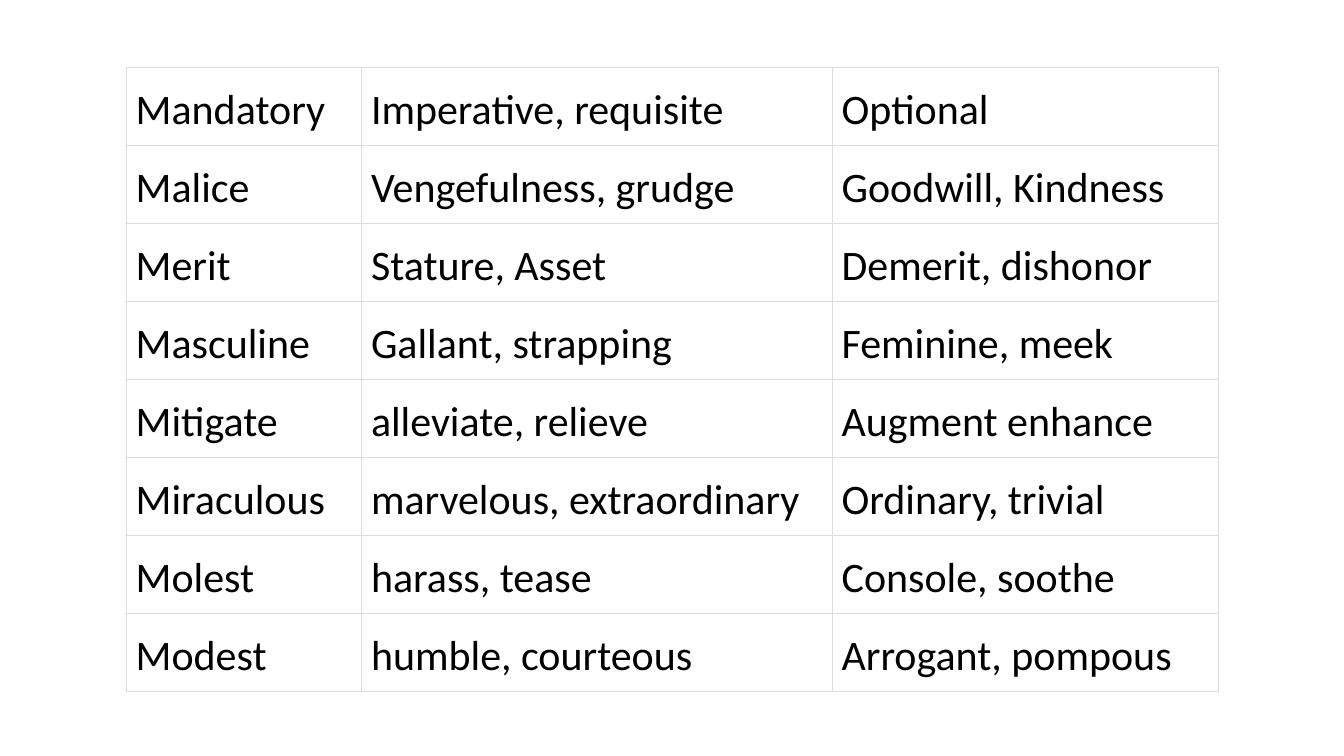
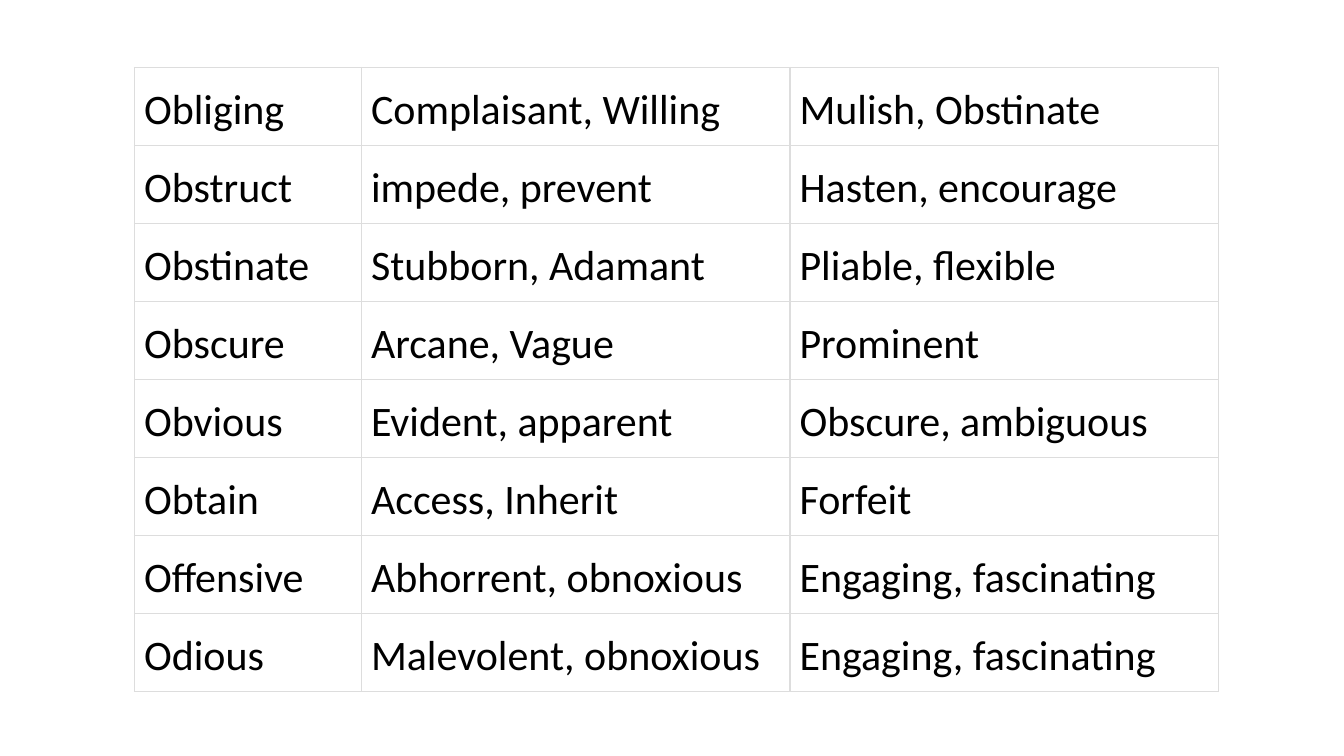
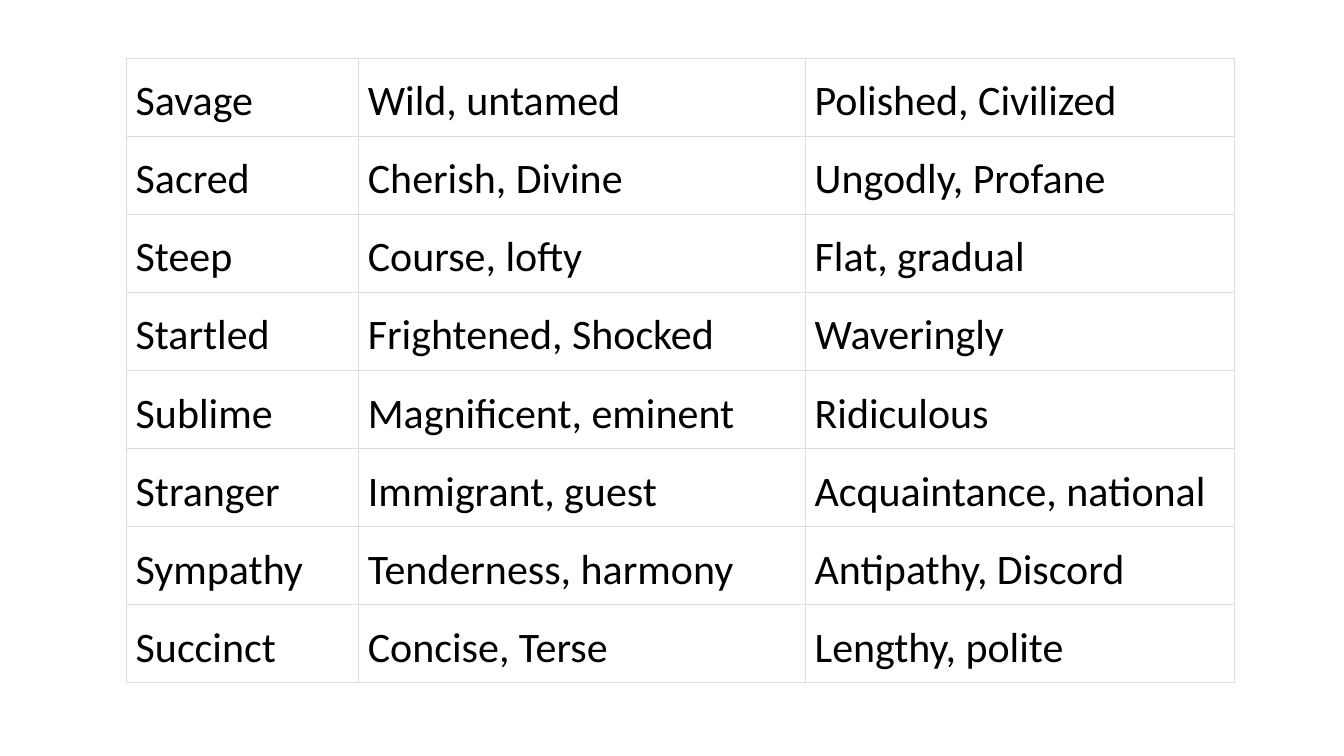
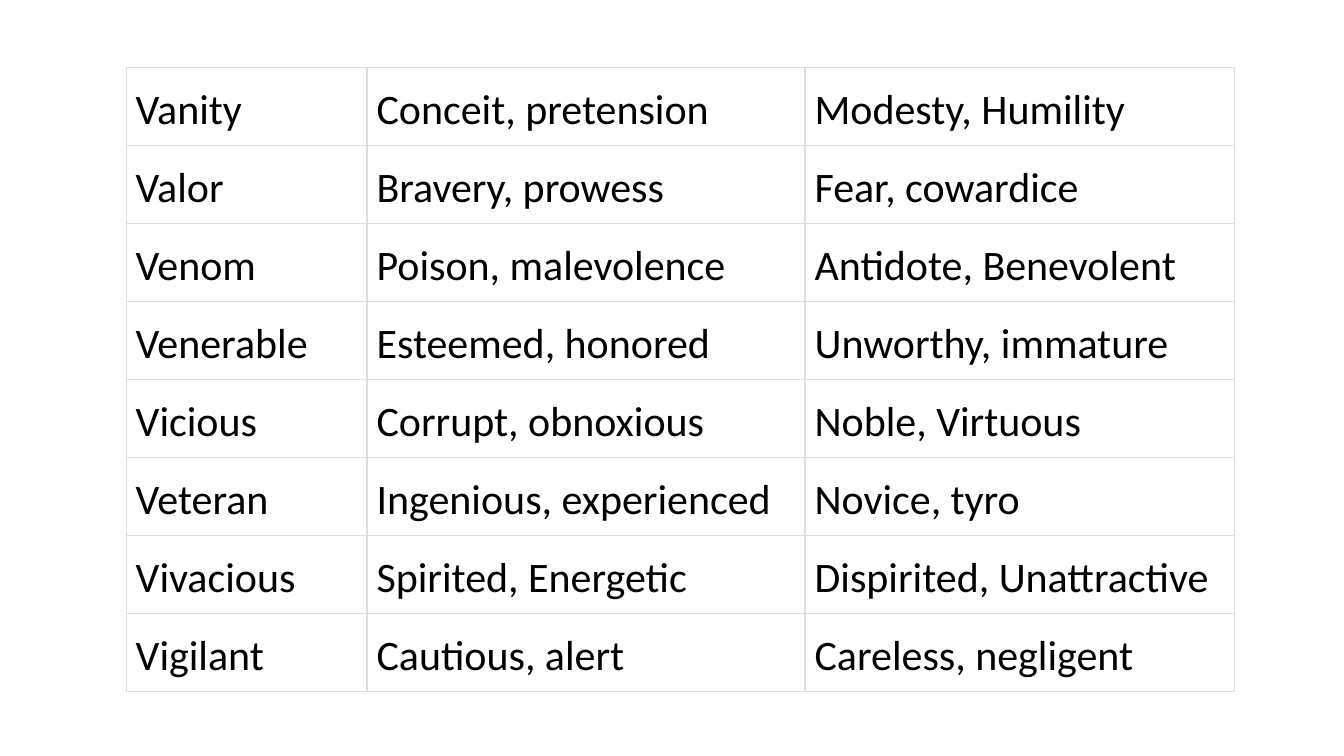
"""Build four vocabulary slides, each a table of words, synonyms and antonyms."""
from dataclasses import dataclass

from lxml import etree
from pptx import Presentation
from pptx.dml.color import RGBColor
from pptx.oxml.ns import qn
from pptx.util import Cm, Pt


@dataclass(frozen=True)
class Theme:
    font: str = "Calibri"
    size: int = 30
    line_spacing: float = 1.15
    ink: str = "000000"
    paper: str = "FFFFFF"
    border: str = "DDDDDD"
    border_width: float = 1
    margin: float = 0.24
    row_height: float = 1.96


THEME = Theme()

VOCABULARY = [
    {
        "position": (3.18, 1.7),
        "columns": (5.93, 11.86, 9.73),
        "rows": [
            ("Mandatory", "Imperative, requisite", "Optional"),
            ("Malice", "Vengefulness, grudge", "Goodwill, Kindness"),
            ("Merit", "Stature, Asset", "Demerit, dishonor"),
            ("Masculine", "Gallant, strapping", "Feminine, meek"),
            ("Mitigate", "alleviate, relieve", "Augment enhance"),
            ("Miraculous", "marvelous, extraordinary", "Ordinary, trivial"),
            ("Molest", "harass, tease", "Console, soothe"),
            ("Modest", "humble, courteous", "Arrogant, pompous"),
        ],
    },
    {
        "position": (3.39, 1.7),
        "columns": (5.72, 10.8, 10.8),
        "rows": [
            ("Obliging", "Complaisant, Willing", "Mulish, Obstinate"),
            ("Obstruct", "impede, prevent", "Hasten, encourage"),
            ("Obstinate", "Stubborn, Adamant", "Pliable, flexible"),
            ("Obscure", "Arcane, Vague", "Prominent"),
            ("Obvious", "Evident, apparent", "Obscure, ambiguous"),
            ("Obtain", "Access, Inherit", "Forfeit"),
            ("Offensive", "Abhorrent, obnoxious", "Engaging, fascinating"),
            ("Odious", "Malevolent, obnoxious", "Engaging, fascinating"),
        ],
    },
    {
        "position": (3.18, 1.48),
        "columns": (5.85, 11.26, 10.83),
        "rows": [
            ("Savage", "Wild, untamed", "Polished, Civilized"),
            ("Sacred", "Cherish, Divine", "Ungodly, Profane"),
            ("Steep", "Course, lofty", "Flat, gradual"),
            ("Startled", "Frightened, Shocked", "Waveringly"),
            ("Sublime", "Magnificent, eminent", "Ridiculous"),
            ("Stranger", "Immigrant, guest", "Acquaintance, national"),
            ("Sympathy", "Tenderness, harmony", "Antipathy, Discord"),
            ("Succinct", "Concise, Terse", "Lengthy, polite"),
        ],
    },
    {
        "position": (3.18, 1.7),
        "columns": (6.07, 11.04, 10.83),
        "rows": [
            ("Vanity", "Conceit, pretension", "Modesty, Humility"),
            ("Valor", "Bravery, prowess", "Fear, cowardice"),
            ("Venom", "Poison, malevolence", "Antidote, Benevolent"),
            ("Venerable", "Esteemed, honored", "Unworthy, immature"),
            ("Vicious", "Corrupt, obnoxious", "Noble, Virtuous"),
            ("Veteran", "Ingenious, experienced", "Novice, tyro"),
            ("Vivacious", "Spirited, Energetic", "Dispirited, Unattractive"),
            ("Vigilant", "Cautious, alert", "Careless, negligent"),
        ],
    },
]


def add_borders(cell):
    properties = cell._tc.get_or_add_tcPr()
    for side in ("lnL", "lnR", "lnT", "lnB"):
        line = etree.SubElement(properties, qn(f"a:{side}"), w=str(Pt(THEME.border_width)))
        fill = etree.SubElement(line, qn("a:solidFill"))
        etree.SubElement(fill, qn("a:srgbClr"), val=THEME.border)


def format_cell(cell, wording):
    cell.text = wording
    cell.margin_left = cell.margin_right = Cm(THEME.margin)
    cell.margin_top = cell.margin_bottom = Cm(THEME.margin)
    paragraph = cell.text_frame.paragraphs[0]
    paragraph.line_spacing = THEME.line_spacing
    paragraph.font.name = THEME.font
    paragraph.font.size = Pt(THEME.size)
    paragraph.font.color.rgb = RGBColor.from_string(THEME.ink)
    add_borders(cell)
    cell.fill.solid()
    cell.fill.fore_color.rgb = RGBColor.from_string(THEME.paper)


def add_vocabulary_slide(presentation, position, columns, rows):
    slide = presentation.slides.add_slide(presentation.slide_layouts.get_by_name("Blank"))
    left, top = position
    frame = slide.shapes.add_table(
        len(rows), len(columns), Cm(left), Cm(top),
        Cm(sum(columns)), Cm(THEME.row_height * len(rows)),
    )
    table = frame.table
    table.first_row = table.horz_banding = False
    for column, width in zip(table.columns, columns):
        column.width = Cm(width)
    for row, words in zip(table.rows, rows):
        row.height = Cm(THEME.row_height)
        for cell, wording in zip(row.cells, words):
            format_cell(cell, wording)


def main():
    presentation = Presentation()
    presentation.slide_width = Cm(33.87)
    presentation.slide_height = Cm(19.05)
    for entry in VOCABULARY:
        add_vocabulary_slide(presentation, **entry)
    presentation.save("out.pptx")


if __name__ == "__main__":
    main()
